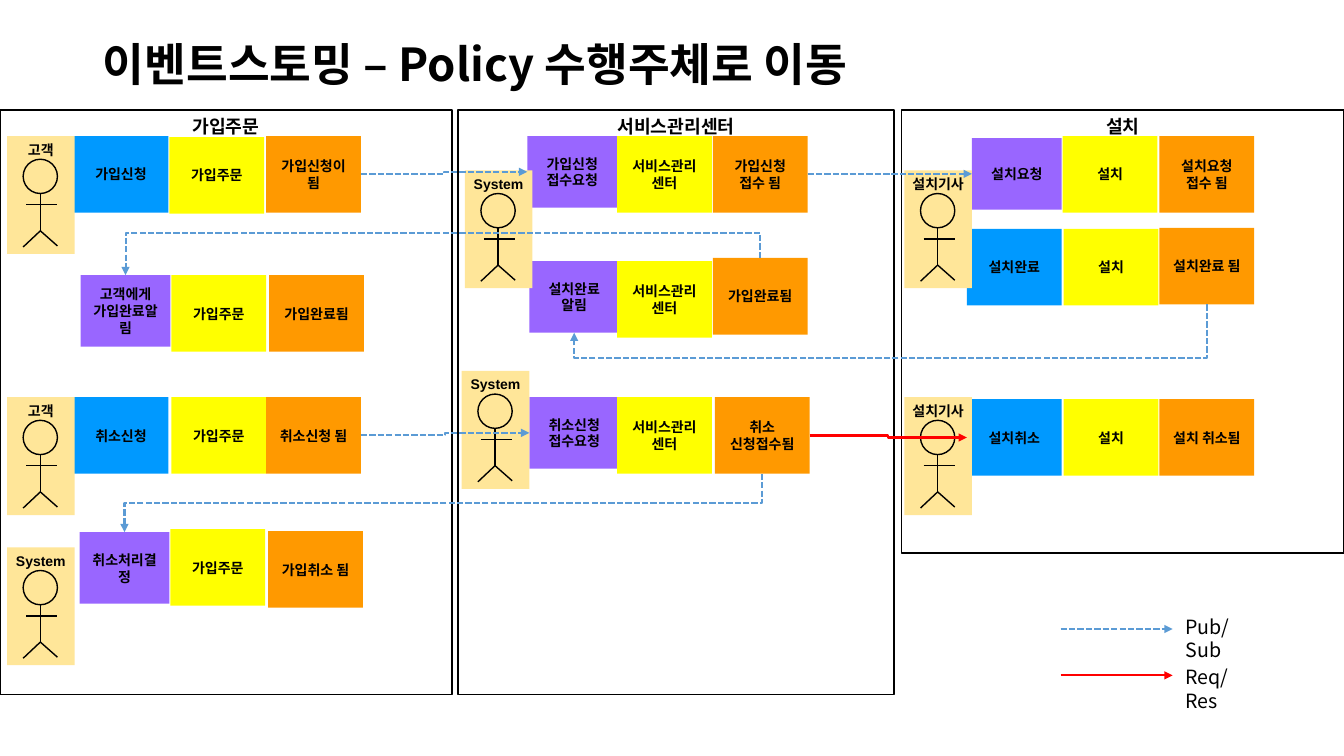
from dataclasses import dataclass

from lxml.etree import SubElement
from pptx import Presentation
from pptx.dml.color import RGBColor
from pptx.enum.dml import MSO_LINE
from pptx.enum.shapes import MSO_CONNECTOR, MSO_SHAPE
from pptx.enum.text import MSO_ANCHOR, PP_ALIGN
from pptx.oxml.ns import qn
from pptx.util import Inches, Pt

TOP, LEFT, BOTTOM, RIGHT = range(4)
LANE_TOP = 10.9


@dataclass(frozen=True)
class Theme:
    """Colours, fonts and type sizes of the board."""
    ink: str = "000000"
    command: str = "0099FF"
    policy: str = "9966FF"
    aggregate: str = "FFFF00"
    event: str = "FF9900"
    actor: str = "FFE699"
    publish: str = "5B9BD5"
    request: str = "FF0000"
    font: str = "Noto Sans CJK KR"
    actor_font: str = "Arial"
    title_size: float = 32.4
    lane_size: float = 13
    label_size: float = 10
    legend_size: float = 14


THEME = Theme()

LANES = [
    ("가입주문", (0, LANE_TOP, 44.8, 58), [
        ("가입신청", "command", 7.3, 2.6), ("가입주문", "aggregate", 16.8, 2.7),
        ("가입신청이 됨", "event", 26.4, 2.6),
        ("고객에게 가입완료알림", "policy", 8, 16.4), ("가입주문", "aggregate", 17, 16.4),
        ("가입완료됨", "event", 26.7, 16.4),
        ("취소신청", "command", 7.3, 28.5), ("가입주문", "aggregate", 17, 28.5),
        ("취소신청 됨", "event", 26.4, 28.5),
        ("취소처리결정", "policy", 7.9, 41.9), ("가입주문", "aggregate", 16.9, 41.6),
        ("가입취소 됨", "event", 26.6, 41.8),
    ], [("고객", 0.7, 2.6), ("고객", 0.7, 28.5), ("System", 0.7, 43.4)]),
    ("서비스관리센터", (45.4, LANE_TOP, 43.3, 58), [
        ("가입신청 접수요청", "policy", 6.9, 2.6), ("서비스관리센터", "aggregate", 15.8, 2.6),
        ("가입신청 접수 됨", "event", 25.3, 2.6),
        ("설치완료 알림", "policy", 7.1, 15), ("서비스관리센터", "aggregate", 15.8, 15),
        ("가입완료됨", "event", 25.3, 14.7),
        ("취소신청 접수요청", "policy", 7.1, 28.5), ("서비스관리센터", "aggregate", 15.8, 28.5),
        ("취소 신청접수됨", "event", 25.5, 28.5),
    ], [("System", 0.7, 6), ("System", 0.4, 25.9)]),
    ("설치", (89.4, LANE_TOP, 43.9, 44), [
        ("설치요청", "policy", 7, 2.8), ("설치", "aggregate", 16, 2.6),
        ("설치요청 접수 됨", "event", 25.6, 2.6),
        ("설치완료", "command", 6.5, 11.8), ("설치", "aggregate", 16.1, 11.8),
        ("설치완료 됨", "event", 25.6, 11.7),
        ("설치취소", "command", 6.5, 28.7), ("설치", "aggregate", 16.1, 28.7),
        ("설치 취소됨", "event", 25.6, 28.7),
    ], [("설치기사", 0.3, 6), ("설치기사", 0.3, 28.5)]),
]


def cells(count):
    """Length of a number of grid cells, ten to the inch."""
    return Inches(count / 10)


def write(frame, text, size, bold=True, align=PP_ALIGN.CENTER, font=THEME.font):
    """Put one formatted paragraph into a text frame."""
    para = frame.paragraphs[0]
    para.text = text
    para.alignment = align
    para.font.size = Pt(size)
    para.font.bold = bold
    para.font.name = font
    para.font.color.rgb = RGBColor.from_string(THEME.ink)
    properties = para._p.find(".//" + qn("a:defRPr"))
    SubElement(properties, qn("a:ea"), typeface=THEME.font)
    return para


def add_block(page, box, fill=None, line=None, preset=MSO_SHAPE.RECTANGLE):
    """Draw a preset shape with optional fill and outline."""
    block = page.shapes.add_shape(preset, *map(cells, box))
    block.shadow.inherit = False
    if fill:
        block.fill.solid()
        block.fill.fore_color.rgb = RGBColor.from_string(fill)
    else:
        block.fill.background()
    if line:
        block.line.color.rgb = RGBColor.from_string(THEME.ink)
        block.line.width = Pt(line)
    else:
        block.line.fill.background()
    return block


def style_line(connector, color, width, dashed=False, arrow=False):
    """Set the stroke of a connector and remove its shadow."""
    connector.line.color.rgb = RGBColor.from_string(color)
    connector.line.width = Pt(width)
    if dashed:
        connector.line.dash_style = MSO_LINE.SQUARE_DOT
    properties = connector._element.spPr
    if arrow:
        SubElement(properties.find(qn("a:ln")), qn("a:tailEnd"), type="triangle")
    SubElement(properties, qn("a:effectLst"))


def add_line(page, ends, color, width, **stroke):
    """Draw a straight line between two grid points."""
    line = page.shapes.add_connector(MSO_CONNECTOR.STRAIGHT, *map(cells, ends))
    style_line(line, color, width, **stroke)


def add_flow(page, source, source_side, target, target_side, color, bend=None):
    """Join two cards by an elbow arrow, turning at row bend if given."""
    flow = page.shapes.add_connector(MSO_CONNECTOR.ELBOW, 0, 0, 0, 0)
    flow.begin_connect(source, source_side)
    flow.end_connect(target, target_side)
    if bend is not None:
        start, drop = flow.begin_y, flow.end_y - flow.begin_y
        span = flow.begin_x - flow.end_x
        middle_x, middle_y = flow.end_x + span // 2, start + drop // 2
        flow.left, flow.top = middle_x - drop // 2, middle_y - span // 2
        flow.width, flow.height = drop, span
        frame = flow._element.spPr.find(qn("a:xfrm"))
        for flip in ("flipH", "flipV"):
            frame.attrib.pop(flip, None)
        frame.set("rot", str(90 * 60000))
        share = round((cells(bend) - start) / drop * 100000)
        guides = flow._element.spPr.find(".//" + qn("a:avLst"))
        SubElement(guides, qn("a:gd"), name="adj1", fmla=f"val {share}")
    style_line(flow, color, 1.5, dashed=color == THEME.publish, arrow=True)


def add_card(page, left, top, label, kind):
    """Draw one sticky note and return it."""
    size = (8.9, 7.1) if kind == "policy" else (9.4, 7.6)
    card = add_block(page, (left, top, *size), getattr(THEME, kind))
    card.text_frame.vertical_anchor = MSO_ANCHOR.MIDDLE
    write(card.text_frame, label, THEME.label_size)
    return card


def add_heading(block, text, size, font=THEME.font):
    """Write an unwrapped label at the top of a block."""
    block.text_frame.word_wrap = False
    block.text_frame.vertical_anchor = MSO_ANCHOR.TOP
    write(block.text_frame, text, size, font=font)


def add_actor(page, left, top, label):
    """Draw a labelled stick figure on its own note."""
    note = add_block(page, (left, top, 6.7, 11.7), THEME.actor)
    add_heading(note, label, THEME.label_size, THEME.actor_font)
    add_block(page, (left + 1.6, top + 2.3, 3.4, 3.4), line=1, preset=MSO_SHAPE.OVAL)
    limbs = [(3.3, 5.7, 3.3, 9.4), (1.9, 6.8, 5, 6.8), (3.3, 9.4, 1.6, 11), (3.3, 9.4, 5, 10.9)]
    for x1, y1, x2, y2 in limbs:
        add_line(page, (left + x1, top + y1, left + x2, top + y2), THEME.ink, 1)


def add_lane(page, box, title, cards, actors):
    """Draw a lane with its notes and actors; return the notes by label."""
    left, top = box[:2]
    add_heading(add_block(page, box, line=1.25), title, THEME.lane_size)
    notes = {label: add_card(page, left + x, top + y, label, kind) for label, kind, x, y in cards}
    for label, x, y in actors:
        add_actor(page, left + x, top + y, label)
    return notes


def add_flows(page, order, center, install):
    """Draw the messages that pass between the lanes."""
    publish = THEME.publish
    add_flow(page, order["가입신청이 됨"], RIGHT, center["가입신청 접수요청"], LEFT, publish)
    add_flow(page, center["가입신청 접수 됨"], RIGHT, install["설치요청"], LEFT, publish)
    add_flow(page, install["설치완료 됨"], BOTTOM, center["설치완료 알림"], BOTTOM, publish, 35.5)
    add_flow(page, center["가입완료됨"], TOP, order["고객에게 가입완료알림"], TOP, publish, 23.1)
    add_flow(page, order["취소신청 됨"], RIGHT, center["취소신청 접수요청"], LEFT, publish)
    add_flow(page, center["취소 신청접수됨"], RIGHT, install["설치취소"], LEFT, THEME.request)
    add_flow(page, center["취소 신청접수됨"], BOTTOM, order["취소처리결정"], TOP, publish, 49.9)


def add_legend(page, left, top):
    """Explain the two arrow styles."""
    rows = [("Pub/Sub", THEME.publish, 1.9, 0, 9.6), ("Req/Res", THEME.request, 6.5, 5, 9.2)]
    for text, color, line_row, text_row, width in rows:
        add_line(page, (left, top + line_row, left + 11.1, top + line_row), color, 1.5,
                 dashed=color == THEME.publish, arrow=True)
        box = (left + 11.4, top + text_row, width, 3.4)
        frame = page.shapes.add_textbox(*map(cells, box)).text_frame
        frame.word_wrap = True
        write(frame, text, THEME.legend_size, bold=False, align=PP_ALIGN.LEFT)


def add_title(page, box, text):
    """Place and format the title placeholder."""
    title = page.shapes.title
    title.left, title.top, title.width, title.height = map(cells, box)
    title.text_frame.vertical_anchor = MSO_ANCHOR.MIDDLE
    write(title.text_frame, text, THEME.title_size, align=PP_ALIGN.LEFT).line_spacing = 0.9


def main():
    """Build the event storming board."""
    deck = Presentation()
    deck.slide_width, deck.slide_height = Inches(13.33), Inches(7.5)
    page = deck.slides.add_slide(deck.slide_layouts[5])
    add_title(page, (9.2, 4, 115, 5.3), "이벤트스토밍 – Policy 수행주체로 이동")
    lanes = [add_lane(page, box, title, cards, actors) for title, box, cards, actors in LANES]
    add_flows(page, *lanes)
    add_legend(page, 105.2, 60.5)
    deck.save("out.pptx")


if __name__ == "__main__":
    main()
